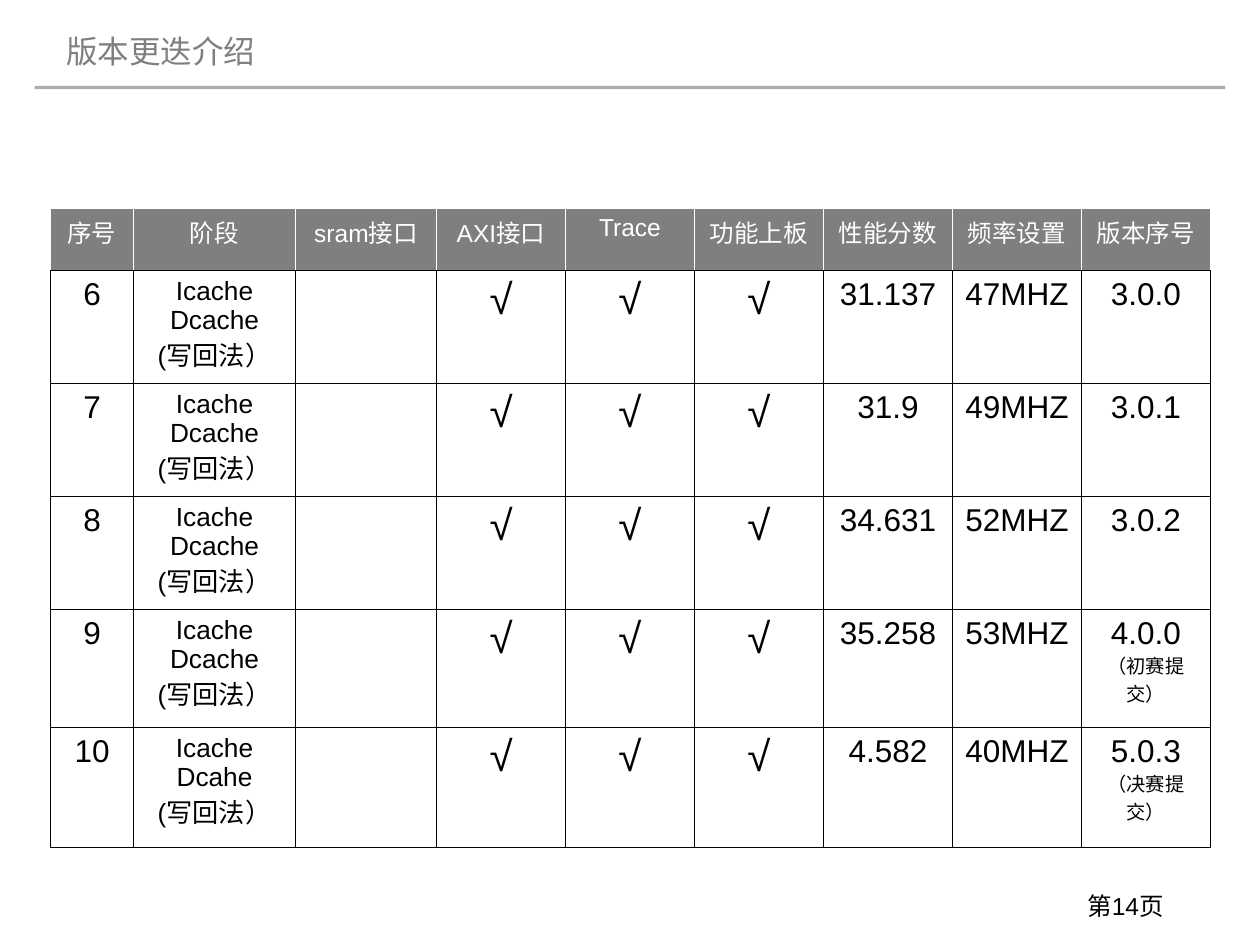
from lxml.etree import SubElement as Sub
from pptx import Presentation
from pptx.dml.color import RGBColor as Rgb
from pptx.enum.shapes import MSO_SHAPE as Shape
from pptx.enum.text import MSO_ANCHOR as Anchor, PP_ALIGN as Align
from pptx.oxml.ns import qn
from pptx.util import Cm, Pt

INK = {"text": "000000", "head": "7F7F7F", "rule": "AFABAB", "white": "FFFFFF"}
FONT = "Arial"
TICK = "√"
HEADS = ["序号", "阶段", "sram接口", "AXI接口", "Trace", "功能上板",
         "性能分数", "频率设置", "版本序号"]
ROWS = [
    ("6", "Dcache", "31.137", "47MHZ", "3.0.0", ""),
    ("7", "Dcache", "31.9", "49MHZ", "3.0.1", ""),
    ("8", "Dcache", "34.631", "52MHZ", "3.0.2", ""),
    ("9", "Dcache", "35.258", "53MHZ", "4.0.0", "（初赛提交）"),
    ("10", "Dcahe", "4.582", "40MHZ", "5.0.3", "（决赛提交）"),
]
WIDTHS = [1.67, 3.27, 2.84] + [2.6] * 6
HEIGHTS = [1.26] + [2.28] * 3 + [2.38, 2.42]


def write(frame, lines, ink="text", align=Align.LEFT, space=None):
    """Write (text, size) lines as paragraphs of one run each."""
    for i, (text, size) in enumerate(lines):
        para = frame.add_paragraph() if i else frame.paragraphs[0]
        para.alignment = align
        if space:
            para.line_spacing = space
        run = para.add_run()
        run.text = text
        run.font.name = FONT
        run.font.size = Pt(size)
        run.font.color.rgb = Rgb.from_string(INK[ink])


def add_text(slide, box, text, size, ink="text", anchor=Anchor.TOP, space=None):
    """Add a wrapped text box."""
    frame = slide.shapes.add_textbox(*map(Cm, box)).text_frame
    frame.word_wrap = True
    frame.vertical_anchor = anchor
    write(frame, [(text, size)], ink, space=space)


def add_rule(slide, box):
    """Add the thin bar under the title."""
    bar = slide.shapes.add_shape(Shape.RECTANGLE, *map(Cm, box))
    bar.shadow.inherit = False
    bar.fill.solid()
    bar.fill.fore_color.rgb = Rgb.from_string(INK["rule"])
    bar.line.fill.background()


def edge(cell, inks):
    """Draw cell borders in left, right, top, bottom order."""
    props = cell._tc.get_or_add_tcPr()
    for side, ink in zip("LRTB", inks):
        line = Sub(props, qn(f"a:ln{side}"), w=str(Pt(0.45)))
        Sub(Sub(line, qn("a:solidFill")), qn("a:srgbClr"), val=INK[ink])


def fill_head(cell, text):
    """Fill one heading cell."""
    edge(cell, ["white", "white", "white", "text"])
    cell.fill.solid()
    cell.fill.fore_color.rgb = Rgb.from_string(INK["head"])
    write(cell.text_frame, [(text, 14)], "white", Align.CENTER)


def fill_body(cell, lines):
    """Fill one body cell."""
    edge(cell, ["text"] * 4)
    cell.fill.background()
    write(cell.text_frame, lines, align=Align.CENTER)


def row_cells(num, cache, score, clock, tag, note):
    """Return the lines of each cell in one version row."""
    stage = [("Icache", 15), (cache, 15), ("(写回法）", 15)]
    mark = [(TICK, 24)]
    label = [(tag, 18)] + ([(note, 11)] if note else [])
    return [[(num, 18)], stage, [], mark, mark, mark,
            [(score, 18)], [(clock, 18)], label]


def add_grid(slide, left, top):
    """Add the version table."""
    size = Cm(sum(WIDTHS)), Cm(sum(HEIGHTS))
    table = slide.shapes.add_table(
        len(HEIGHTS), len(WIDTHS), Cm(left), Cm(top), *size).table
    table.first_row = table.horz_banding = False
    for col, width in zip(table.columns, WIDTHS):
        col.width = Cm(width)
    for row, height in zip(table.rows, HEIGHTS):
        row.height = Cm(height)
    for c, text in enumerate(HEADS):
        fill_head(table.cell(0, c), text)
    for r, row in enumerate(ROWS, 1):
        for c, lines in enumerate(row_cells(*row)):
            fill_body(table.cell(r, c), lines)


def main():
    """Build the slide and save it."""
    deck = Presentation()
    deck.slide_width, deck.slide_height = Cm(25.4), Cm(19.05)
    slide = deck.slides.add_slide(deck.slide_layouts[6])
    add_rule(slide, (0.7, 1.73, 24, 0.07))
    add_text(slide, (21.67, 17.83, 3.02, 1.2), "第14页", 14)
    add_grid(slide, 1.02, 4.19)
    add_text(slide, (1.09, 0.18, 6.81, 1.55), "版本更迭介绍", 18, "head",
             Anchor.MIDDLE, 1.2)
    deck.save("out.pptx")


if __name__ == "__main__":
    main()
